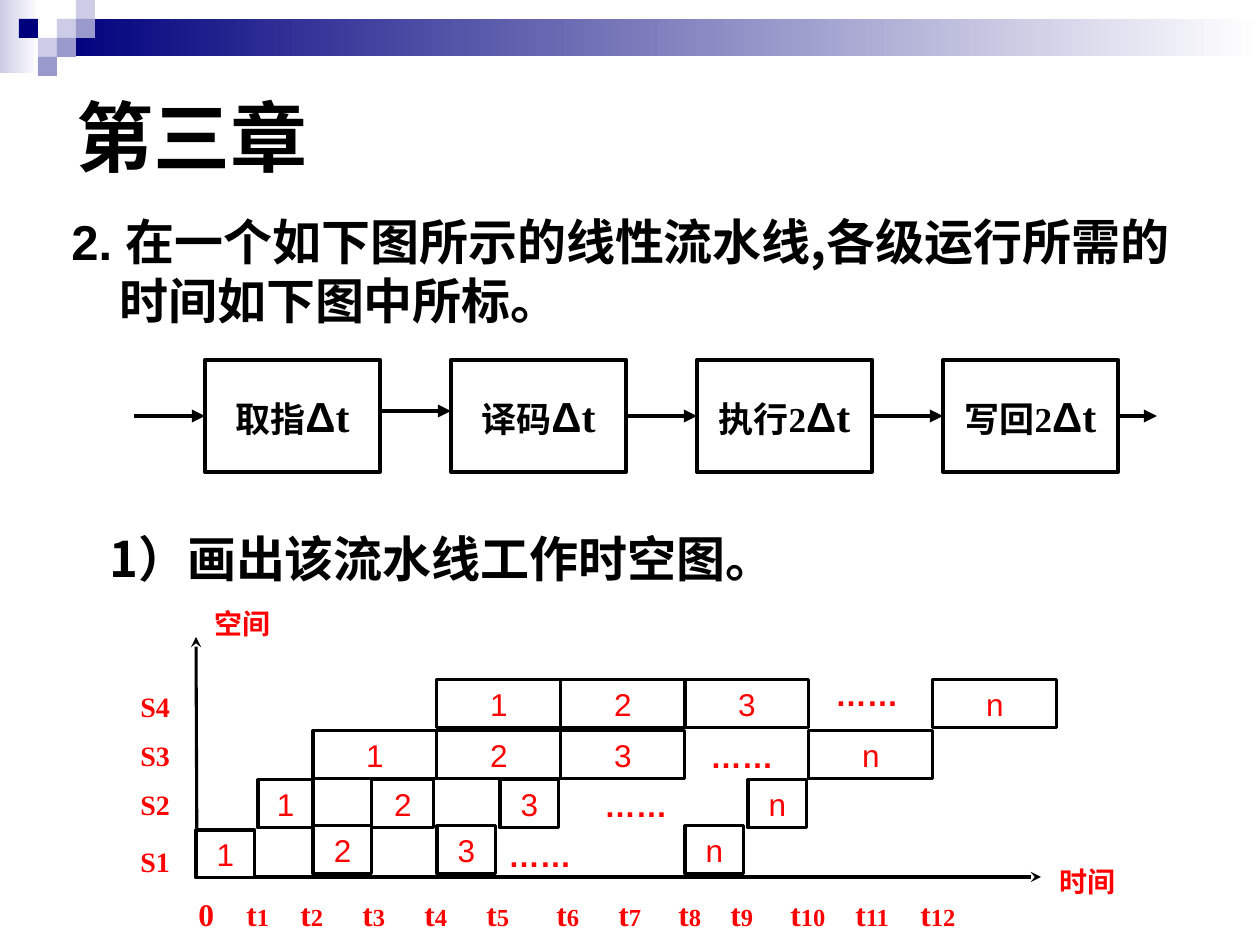
import dataclasses
import typing

import pptx
import pptx.dml.color
import pptx.enum.shapes
import pptx.enum.text
import pptx.oxml.ns
import pptx.util
from lxml import etree

SCALE = 914400 / 126
HUES = {"black": "000000", "white": "FFFFFF", "red": "FF0000",
        "navy": "00007D", "mid": "9999CC", "pale": "CCCCE6"}
SANS, SERIF, HAN = "Arial", "Times New Roman", "Noto Sans CJK SC"
KINDS = pptx.enum.shapes.MSO_SHAPE
ALIGN = pptx.enum.text.PP_ALIGN
ANCHOR = pptx.enum.text.MSO_ANCHOR


@dataclasses.dataclass
class Run:
    text: str
    size: int
    font: str = SERIF
    hue: str = "black"
    bold: bool = True


@dataclasses.dataclass
class Box:
    left: int
    top: int
    width: int
    height: int


@dataclasses.dataclass
class Stage:
    """One row of the space-time chart: its tasks and its dots."""
    name: str
    label: int
    top: int
    spans: list[tuple[int, int]]
    dots: Box


def px(size: float) -> pptx.util.Emu:
    return pptx.util.Emu(round(size * SCALE))


def rgb(hue: str) -> pptx.dml.color.RGBColor:
    return pptx.dml.color.RGBColor.from_string(HUES[hue])


def frame(box: Box) -> list[pptx.util.Emu]:
    return [px(n) for n in dataclasses.astuple(box)]


def write(para, runs: list[Run]) -> None:
    for item in runs:
        run = para.add_run()
        run.text = item.text
        font = run.font
        font.size = pptx.util.Pt(item.size)
        font.name, font.bold = item.font, item.bold
        font.color.rgb = rgb(item.hue)
        face = etree.SubElement(run._r.get_or_add_rPr(), pptx.oxml.ns.qn("a:ea"))
        face.set("typeface", HAN)


def add_text(slide, box: Box, runs: list[Run], before: float = 0,
             space: float = 1.0, middle: bool = False) -> typing.Any:
    """Add a wrapped text box and return its paragraph."""
    body = slide.shapes.add_textbox(*frame(box)).text_frame
    body.word_wrap = True
    body.vertical_anchor = ANCHOR.MIDDLE if middle else ANCHOR.TOP
    para = body.paragraphs[0]
    para.space_before = pptx.util.Pt(before)
    para.line_spacing = space
    write(para, runs)
    return para


def add_rect(slide, box: Box, hue: str = "white", fade: bool = False) -> typing.Any:
    """Add a rectangle with no outline, fading to white if asked."""
    shape = slide.shapes.add_shape(KINDS.RECTANGLE, *frame(box))
    shape.shadow.inherit = False
    shape.line.fill.background()
    if fade:
        shape.fill.gradient()
        shape.fill.gradient_angle = 0
        for stop, tone in zip(shape.fill.gradient_stops, (hue, "white")):
            stop.color.rgb = rgb(tone)
    else:
        shape.fill.solid()
        shape.fill.fore_color.rgb = rgb(hue)
    return shape


def add_cell(slide, box: Box, runs: list[Run], weight: float) -> typing.Any:
    """Add an outlined rectangle with centred text."""
    shape = add_rect(slide, box)
    shape.line.color.rgb = rgb("black")
    shape.line.width = pptx.util.Pt(weight)
    body = shape.text_frame
    body.word_wrap = False
    body.vertical_anchor = ANCHOR.MIDDLE
    body.paragraphs[0].alignment = ALIGN.CENTER
    write(body.paragraphs[0], runs)
    return shape


def add_arrow(slide, start: tuple[int, int], end: tuple[int, int],
              weight: float, head: str) -> typing.Any:
    line = slide.shapes.add_connector(
        pptx.enum.shapes.MSO_CONNECTOR.STRAIGHT, *[px(n) for n in start + end])
    line.line.color.rgb = rgb("black")
    line.line.width = pptx.util.Pt(weight)
    tip = etree.SubElement(line.line._get_or_add_ln(), pptx.oxml.ns.qn("a:tailEnd"))
    tip.set("type", head)
    etree.SubElement(line._element.spPr, pptx.oxml.ns.qn("a:effectLst"))
    return line


def add_band(slide) -> None:
    """Draw the fading bar and the small squares at the top."""
    unit = 19
    add_rect(slide, Box(0, 0, 39, 73), "pale", True)
    add_rect(slide, Box(57, unit, 1203, 37), "navy", True)
    for col, row, hue in [(3, 1, "pale"), (4, 0, "pale"), (4, 1, "mid"), (2, 2, "pale"),
                          (1, 1, "navy"), (3, 2, "mid"), (2, 3, "mid")]:
        add_rect(slide, Box(col * unit, row * unit, unit, unit), hue)


def add_chain(slide) -> None:
    """Draw the four pipeline steps and the arrows that join them."""
    first, step, wide, mid = 205, 246, 175, 416
    steps = []
    for i, name in enumerate(["取指", "译码", "执行2", "写回2"]):
        runs = [Run(name, 20), Run("Δ", 24, SANS), Run("t", 24)]
        steps.append(add_cell(slide, Box(first + i * step, 360, wide, 112), runs, 2.5))
    for i in range(5):
        start = first + (i - 1) * step + wide if i else 134
        end = first + i * step if i < 4 else 1157
        high = 411 if i == 1 else mid
        line = add_arrow(slide, (start, high), (end, high), 2.5, "triangle")
        if high == mid:
            if i > 0:
                line.begin_connect(steps[i - 1], 3)
            if i < 4:
                line.end_connect(steps[i], 1)


def add_ticks(slide) -> None:
    """Write the time labels, each at its own tab stop."""
    left = 199
    stops = [247, 301, 363, 425, 487, 557, 619, 679, 731, 791, 856, 921]
    runs = [Run("0", 18, hue="red")]
    for i in range(1, len(stops) + 1):
        runs += [Run("\tt", 18, hue="red"), Run(str(i), 14, hue="red")]
    para = add_text(slide, Box(left - 13, 868, 996, 77), runs, space=1.55)
    tabs = etree.SubElement(para._p.get_or_add_pPr(), pptx.oxml.ns.qn("a:tabLst"))
    for stop in stops:
        tab = etree.SubElement(tabs, pptx.oxml.ns.qn("a:tab"))
        tab.set("pos", str(px(stop - left)))
        tab.set("algn", "l")


def add_chart(slide) -> None:
    """Draw the space-time chart with its axes and labels."""
    slot = 124
    cols = [313 + slot * i for i in range(6)]
    stages = [
        Stage("S4", 663, 680, [(cols[i], slot) for i in (1, 2, 3, 5)], Box(823, 669, 106, 50)),
        Stage("S3", 712, 731, [(cols[i], slot) for i in (0, 1, 2, 4)], Box(698, 731, 106, 50)),
        Stage("S2", 761, 780, [(258, 55), (372, 62), (500, 59), (748, 59)],
              Box(592, 780, 106, 50)),
        Stage("S1", 818, 826, [(196, 59)] + [(cols[i], 59) for i in (0, 1, 3)],
              Box(496, 830, 106, 50)),
    ]
    add_arrow(slide, (199, 877), (1041, 877), 1.75, "stealth")
    add_arrow(slide, (197, 876), (196, 637), 1.75, "stealth")
    add_text(slide, Box(1047, 842, 125, 77), [Run("时间", 16, hue="red")], space=1.5)
    add_text(slide, Box(202, 600, 125, 77), [Run("空间", 16, hue="red")])
    add_ticks(slide)
    for stage in stages:
        add_text(slide, Box(128, stage.label, 74, 77), [Run(stage.name, 16, hue="red")],
                 space=1.6)
        for task, (left, wide) in zip("123n", stage.spans):
            top = 830 if left == 196 else stage.top
            add_cell(slide, Box(left, top, wide, 48), [Run(task, 18, SANS, "red", False)], 1.75)
        add_text(slide, stage.dots, [Run("……", 18, SANS, "red")], before=11.2)


def main() -> None:
    deck = pptx.Presentation()
    deck.slide_width, deck.slide_height = px(1260), px(945)
    slide = deck.slides.add_slide(deck.slide_layouts[6])
    add_band(slide)
    add_text(slide, Box(64, 66, 1134, 139), [Run("第三章", 44, SANS)], middle=True)
    task = add_text(slide, Box(59, 205, 1137, 186), [
        Run("2. ", 28, SANS),
        Run("在一个如下图所示的线性流水线,各级运行所需的时间如下图中所标。", 28, HAN)], before=7)
    hang = task._p.get_or_add_pPr()
    hang.set("marL", str(px(48)))
    hang.set("indent", str(px(-48)))
    add_chain(slide)
    add_text(slide, Box(97, 522, 968, 72), [Run("1）画出该流水线工作时空图。", 28, HAN)], before=17.5)
    add_chart(slide)
    deck.save("out.pptx")


if __name__ == "__main__":
    main()
